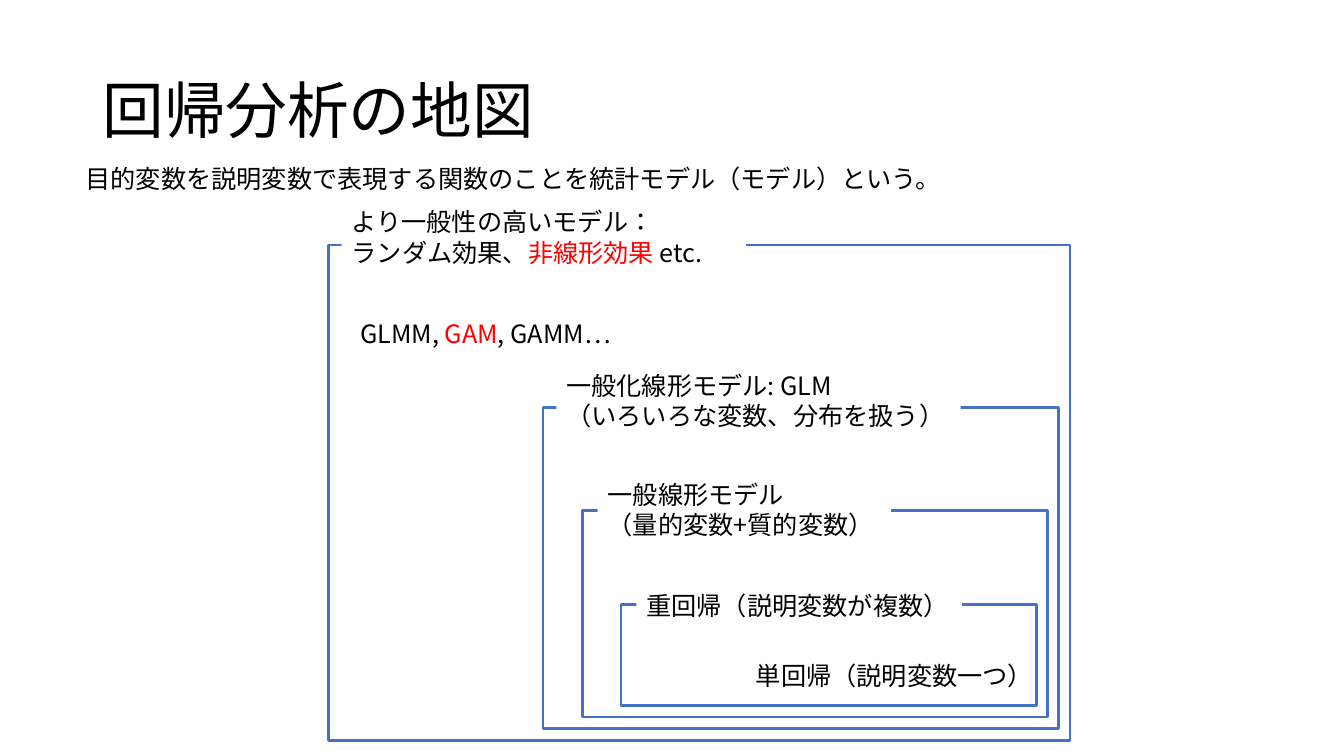
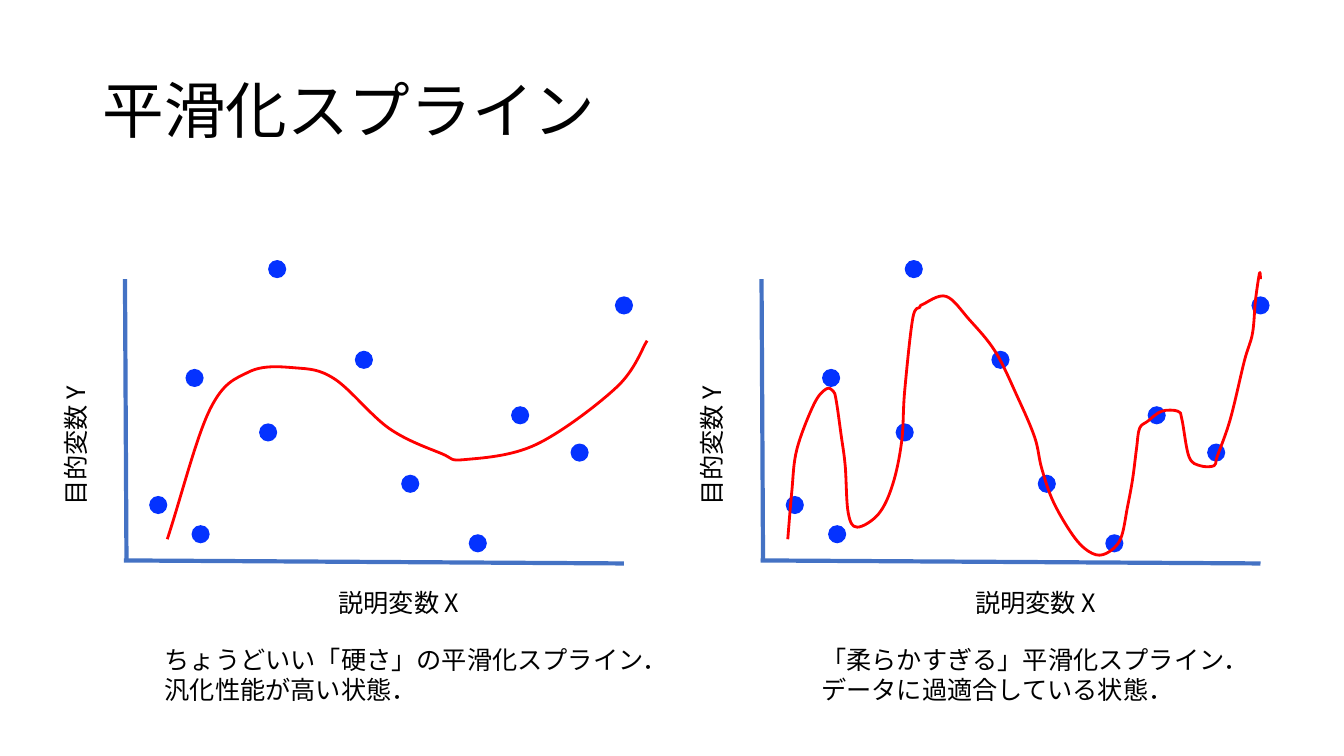
from dataclasses import dataclass
from typing import Optional

from lxml.etree import SubElement
from pptx import Presentation
from pptx.dml.color import RGBColor
from pptx.enum.lang import MSO_LANGUAGE_ID as Language
from pptx.enum.shapes import MSO_CONNECTOR as Connector, MSO_SHAPE as Preset
from pptx.enum.text import MSO_ANCHOR as Anchor, MSO_AUTO_SIZE as AutoSize
from pptx.oxml.ns import qn
from pptx.util import Emu, Inches, Pt

COLORS = {
    "text": "000000",
    "accent": "FF0000",
    "paper": "FFFFFF",
    "line": "4472C4",
    "dot": "0432FF",
}
FONT = "Noto Sans CJK JP"
TITLE_SIZE, BODY_SIZE = 44, 18
CELL = Inches(0.1)  # the grid has square cells
SLIDE_COLUMNS, SLIDE_ROWS = 133.33, 75
Point = tuple[float, float]


@dataclass(frozen=True)
class Label:
    """Text on the grid; parts between bars are in the accent colour."""
    column: float
    row: float
    columns: float
    rows: float
    text: str
    wrap: bool = False
    fill: Optional[str] = None
    rotation: float = 0
    size: float = BODY_SIZE


@dataclass(frozen=True)
class ModelFrame:
    column: float
    row: float
    label: Label


@dataclass(frozen=True)
class SplinePlot:
    shift: float
    knots: list[Point]
    caption: Label


# Frames run from the innermost model to the most general one.
FRAMES = [
    ModelFrame(61.6, 60, Label(63.13, 58.1, 32.3, 4, "重回帰（説明変数が複数）", fill="paper")),
    ModelFrame(57.8, 50.65, Label(59.3, 47.07, 29.1, 7.1, "一般線形モデル\n（量的変数+質的変数）",
                                  wrap=True, fill="paper")),
    ModelFrame(53.87, 40.45, Label(55.2, 36.25, 40.1, 7.1,
                                   "一般化線形モデル: GLM\n（いろいろな変数、分布を扱う）",
                                   wrap=True, fill="paper")),
    ModelFrame(32.6, 24.3, Label(33.9, 20, 40.1, 7.1,
                                 "より一般性の高いモデル：\nランダム効果、|非線形効果 |etc.",
                                 wrap=True, fill="paper")),
]
INNER_RIGHT, INNER_BOTTOM = 102.8, 69.98
RIGHT_STEP, BOTTOM_STEP = 1.12, 1.15
MAP_NOTES = [
    Label(74, 65, 29.8, 4, "単回帰（説明変数一つ）"),
    Label(34.75, 31.05, 29.1, 4, "GLMM, |GAM|, GAMM…"),
    Label(7.5, 15.7, 87.8, 4,
          "目的変数を説明変数で表現する関数のことを統計モデル（モデル）という。"),
]

AXES = [((12.4, 27.7), (12.55, 55.7)), ((61.9, 55.9), (12.3, 55.6))]
AXIS_LABELS = [
    (32.6, 57.8, "説明変数 X", 0),
    (-1.7, 38.4, "目的変数 Y", 270),
]
DOT_SIZE = 1.8
DOTS = [
    (14.8, 49.2), (19, 52.1), (18.4, 36.6), (50.7, 40.3), (25.7, 42), (26.6, 25.8),
    (39.8, 47.1), (35.2, 34.8), (46.5, 53), (56.6, 44), (61, 29.4),
]
STIFF_KNOTS = [
    (16.6, 53.5), (20.8, 40.7), (24.7, 36.9), (29.3, 36.5), (33.2, 37.6), (38.6, 42.5),
    (43.8, 45), (46.1, 45.6), (53.2, 44.1), (61.2, 38.4), (64.2, 33.8),
]
LOOSE_KNOTS = [
    (15, 53.5), (15.4, 48.8), (15.9, 44.6), (17.6, 40.1), (18.8, 38.6), (19.5, 38.8),
    (19.8, 39.7), (20.3, 43.2), (20.7, 46.2), (21, 50.9), (21.9, 52.3), (24, 51),
    (25.4, 48.1), (26.3, 43.8), (26.6, 38.8), (27.4, 31.6), (28.1, 30.5), (28.4, 30.2),
    (30.7, 29.4), (33, 31.7), (35.6, 34.9), (37.8, 39.4), (39.5, 43.4), (40.2, 46.5),
    (41.4, 49.9), (43.5, 53.4), (45.2, 54.9), (46.6, 54.9), (48, 53.5), (48.7, 50.3),
    (49.2, 47.6), (49.6, 44.5), (49.9, 42.5), (50.7, 41.8), (52.1, 40.8), (53.7, 40.8),
    (54.1, 41.6), (54.8, 45.3), (55.9, 46.2), (57.3, 46.2), (57.6, 45.3), (58.9, 41.6),
    (60.3, 35.8), (61.1, 33.1), (61.4, 29.8), (61.8, 27.1), (61.9, 27.7),
]
PLOTS = [
    SplinePlot(0, STIFF_KNOTS, Label(
        15.35, 63.4, 52.5, 7.1,
        "ちょうどいい「硬さ」の平滑化スプライン．\n汎化性能が高い状態．")),
    SplinePlot(63.15, LOOSE_KNOTS, Label(
        80.5, 63.4, 44.9, 7.1,
        "「柔らかすぎる」平滑化スプライン．\nデータに過適合している状態．")),
]


def cells(count: float) -> Emu:
    return Emu(round(count * CELL))


def color(name: str) -> RGBColor:
    return RGBColor.from_string(COLORS[name])


def style_line(shape, name: str, width: float) -> None:
    shape.line.color.rgb = color(name)
    shape.line.width = Pt(width)


def style_run(span, size: float, name: str) -> None:
    span.font.size = Pt(size)
    span.font.color.rgb = color(name)
    span.font.name = FONT
    span.font.language_id = Language.JAPANESE
    SubElement(span._r.get_or_add_rPr(), qn("a:ea")).set("typeface", FONT)


def add_label(shapes, label: Label, shift: float = 0):
    box = shapes.add_textbox(cells(label.column + shift), cells(label.row),
                             cells(label.columns), cells(label.rows))
    box.rotation = label.rotation
    if label.fill:
        box.fill.solid()
        box.fill.fore_color.rgb = color(label.fill)
    frame = box.text_frame
    frame.word_wrap = label.wrap
    frame.auto_size = AutoSize.SHAPE_TO_FIT_TEXT
    for index, line in enumerate(label.text.split("\n")):
        para = frame.add_paragraph() if index else frame.paragraphs[0]
        for part, words in enumerate(line.split("|")):
            span = para.add_run()
            span.text = words
            style_run(span, label.size, "accent" if part % 2 else "text")
    return box


def add_page(deck, title: str):
    page = deck.slides.add_slide(deck.slide_layouts[6])
    box = add_label(page.shapes, Label(9.2, 4, 115, 14.5, title, wrap=True, size=TITLE_SIZE))
    box.text_frame.auto_size = AutoSize.NONE
    box.text_frame.vertical_anchor = Anchor.MIDDLE
    box.text_frame.paragraphs[0].line_spacing = 0.9
    return page


def add_model_frame(shapes, frame: ModelFrame, depth: int) -> None:
    right = INNER_RIGHT + depth * RIGHT_STEP
    bottom = INNER_BOTTOM + depth * BOTTOM_STEP
    box = shapes.add_shape(Preset.RECTANGLE, cells(frame.column), cells(frame.row),
                           cells(right - frame.column), cells(bottom - frame.row))
    box.shadow.inherit = False
    box.fill.background()
    style_line(box, "line", 2)
    add_label(shapes, frame.label)


def add_axis(shapes, start: Point, end: Point, shift: float) -> None:
    axis = shapes.add_connector(Connector.STRAIGHT, cells(start[0] + shift), cells(start[1]),
                                cells(end[0] + shift), cells(end[1]))
    style_line(axis, "line", 3)
    SubElement(axis._element.spPr, qn("a:effectLst"))


def add_dot(shapes, column: float, row: float) -> None:
    dot = shapes.add_shape(Preset.OVAL, cells(column), cells(row),
                           cells(DOT_SIZE), cells(DOT_SIZE))
    dot.shadow.inherit = False
    dot.fill.solid()
    dot.fill.fore_color.rgb = color("dot")
    dot.line.fill.background()


def bend_segments(curve) -> None:
    """Turn the straight segments of an outline into Catmull-Rom Bézier curves."""
    outline = next(curve._element.iter(qn("a:path")))
    knots = [(int(pt.get("x")), int(pt.get("y"))) for pt in outline.iter(qn("a:pt"))]
    lead = tuple(2 * a - b for a, b in zip(knots[0], knots[1]))
    padded = [lead, *knots, knots[-1]]
    segments = outline.findall(qn("a:lnTo"))
    for segment, before, start, end, after in zip(
            segments, padded, padded[1:], padded[2:], padded[3:]):
        leave = [b + (c - a) / 6 for a, b, c in zip(before, start, end)]
        arrive = [c - (d - b) / 6 for b, c, d in zip(start, end, after)]
        bend = SubElement(outline, qn("a:cubicBezTo"))
        for x, y in (leave, arrive, end):
            point = SubElement(bend, qn("a:pt"))
            point.set("x", str(round(x)))
            point.set("y", str(round(y)))
        outline.replace(segment, bend)


def add_spline(shapes, knots: list[Point], shift: float) -> None:
    points = [(cells(x + shift), cells(y)) for x, y in knots]
    builder = shapes.build_freeform(*points[0])
    builder.add_line_segments(points[1:], close=False)
    curve = builder.convert_to_shape()
    bend_segments(curve)
    curve.shadow.inherit = False
    curve.fill.background()
    style_line(curve, "accent", 2)


def add_plot(page, plot: SplinePlot) -> None:
    shapes = page.shapes.add_group_shape().shapes
    for start, end in AXES:
        add_axis(shapes, start, end, plot.shift)
    for column, row in DOTS:
        add_dot(shapes, column + plot.shift, row)
    for column, row, text, rotation in AXIS_LABELS:
        add_label(shapes, Label(column, row, 19.9, 5.6, text, rotation=rotation), plot.shift)
    add_spline(shapes, plot.knots, plot.shift)


def main() -> None:
    deck = Presentation()
    deck.slide_width, deck.slide_height = cells(SLIDE_COLUMNS), cells(SLIDE_ROWS)

    model_map = add_page(deck, "回帰分析の地図")
    for depth, frame in enumerate(FRAMES):
        add_model_frame(model_map.shapes, frame, depth)
    for note in MAP_NOTES:
        add_label(model_map.shapes, note)

    splines = add_page(deck, "平滑化スプライン")
    for plot in PLOTS:
        add_plot(splines, plot)
    for plot in PLOTS:
        add_label(splines.shapes, plot.caption)

    deck.save("out.pptx")


if __name__ == "__main__":
    main()
